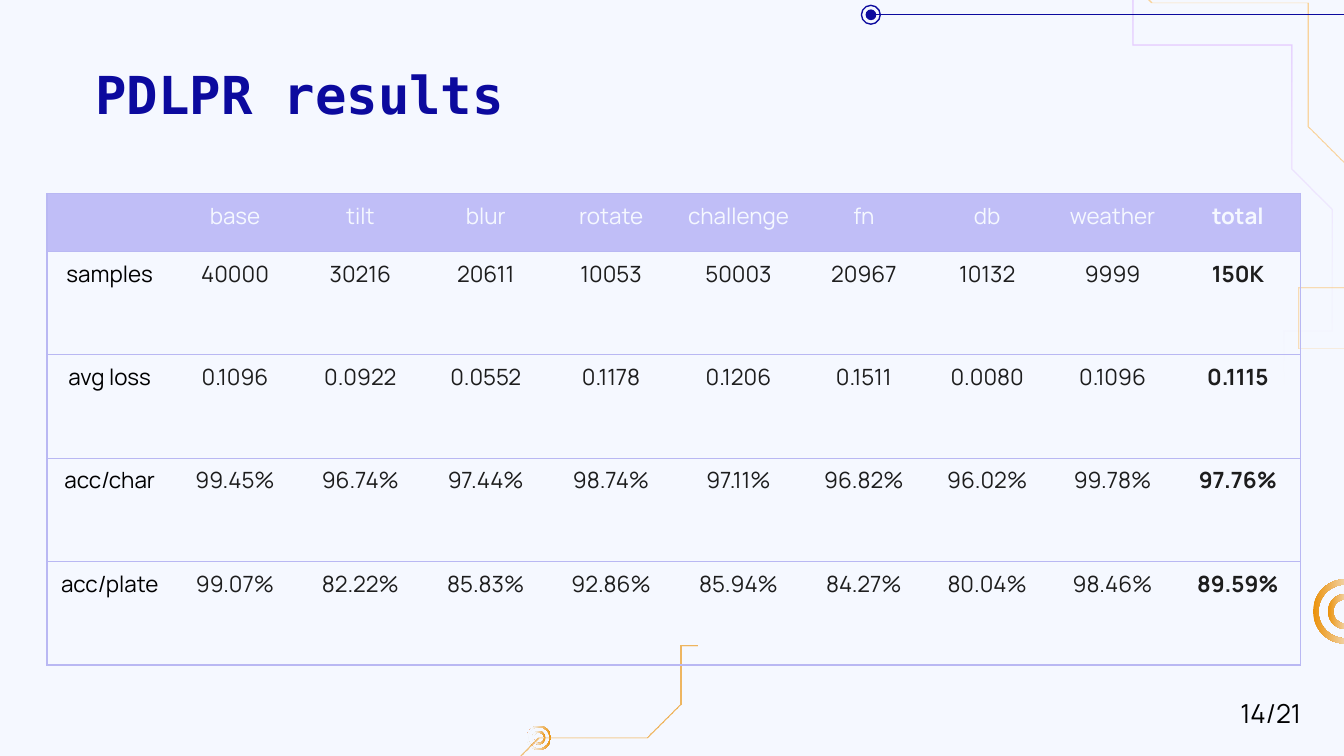
from dataclasses import dataclass
from math import hypot

from pptx import Presentation
from pptx.dml.color import RGBColor
from pptx.enum.shapes import MSO_CONNECTOR as Connector, MSO_SHAPE as Preset
from pptx.enum.text import MSO_ANCHOR as Anchor, MSO_AUTO_SIZE as AutoSize, PP_ALIGN as Align
from pptx.oxml import parse_xml
from pptx.oxml.ns import nsdecls, qn
from pptx.util import Inches, Pt

Point = tuple[float, float]
Stop = tuple[int, str, int]  # position, colour, opacity, in percent


@dataclass(frozen=True)
class Theme:
    paper: str = "F5F8FF"
    navy: str = "0C0A9E"
    amber: str = "EB9109"
    orange: str = "FF9900"
    violet: str = "9900FF"
    header: str = "C0BEF7"
    grid: str = "B9B8F3"
    ink: str = "1D1D1D"
    black: str = "000000"
    title_font: str = "DejaVu Sans Mono"
    body_font: str = "Manrope"
    title_size: int = 28
    table_size: int = 12
    number_size: int = 14
    hairline: float = 0.75


@dataclass(frozen=True)
class Trace:
    points: list[Point]
    stops: list[Stop]
    angle: int


@dataclass(frozen=True)
class Ring:
    center: Point
    radius: float
    band: float
    angle: int


THEME = Theme()
WIDTH = 10
HEIGHT = WIDTH * 9 / 16
TRACE_WIDTH = 0.01

TRACES = [
    Trace([(8.43, 0), (8.43, 0.34), (9.61, 0.34), (9.61, 1.26), (9.91, 1.56),
           (9.91, 2.46), (9.55, 2.46), (9.55, 2.9), (9.91, 2.9)],
          [(0, THEME.violet, 20), (60, THEME.violet, 5), (100, "FFFFFF", 0)], 90),
    Trace([(8.55, 0), (8.57, 0.02), (9.73, 0.02), (9.73, 0.94), (10.03, 1.24),
           (10.03, 2.14), (9.66, 2.14), (9.66, 2.59), (10.03, 2.59)],
          [(0, THEME.orange, 40), (100, THEME.orange, 28)], 90),
    Trace([(3.88, 5.62), (4.01, 5.49), (4.81, 5.49), (5.06, 5.24), (5.06, 4.81), (5.19, 4.81)],
          [(0, THEME.amber, 55), (100, THEME.amber, 65)], 0),
]
RINGS = [
    Ring((10.01, 4.55), 0.24, 0.04, 0),
    Ring((10.01, 4.55), 0.13, 0.04, 0),
    Ring((4.01, 5.49), 0.09, 0.01, 180),
    Ring((4.01, 5.49), 0.05, 0.01, 180),
]

TABLE_WIDTH = 9.33
COLUMN_SHARES = [0.93] * 5 + [0.96, 0.9] + [0.93] * 3
ROWS = [0.43] + [0.77] * 4
RESULTS = [
    ["", "base", "tilt", "blur", "rotate", "challenge", "fn", "db", "weather", "total"],
    ["samples", "40000", "30216", "20611", "10053", "50003", "20967", "10132", "9999", "150K"],
    ["avg loss", "0.1096", "0.0922", "0.0552", "0.1178", "0.1206", "0.1511", "0.0080", "0.1096", "0.1115"],
    ["acc/char", "99.45%", "96.74%", "97.44%", "98.74%", "97.11%", "96.82%", "96.02%", "99.78%", "97.76%"],
    ["acc/plate", "99.07%", "82.22%", "85.83%", "92.86%", "85.94%", "84.27%", "80.04%", "98.46%", "89.59%"],
]


def color(value: str) -> RGBColor:
    return RGBColor.from_string(value)


def format_text(paragraph, font: str, size: float, ink: str, bold: bool = False) -> None:
    for span in paragraph.runs:
        span.font.name, span.font.size, span.font.bold = font, Pt(size), bold
        span.font.color.rgb = color(ink)


def fill_gradient(shape, stops: list[Stop], angle: int) -> None:
    marks = "".join(
        f'<a:gs pos="{place * 1000}"><a:srgbClr val="{tint}">'
        f'<a:alpha val="{opacity * 1000}"/></a:srgbClr></a:gs>'
        for place, tint, opacity in stops)
    shape.shadow.inherit = False
    shape.line.fill.background()
    shape.fill.solid()
    properties = shape._element.spPr
    properties.replace(properties.find(qn("a:solidFill")), parse_xml(
        f'<a:gradFill {nsdecls("a")} rotWithShape="1"><a:gsLst>{marks}</a:gsLst>'
        f'<a:lin ang="{angle * 60000}" scaled="0"/></a:gradFill>'))


def ribbon_side(points: list[Point], offset: float) -> list[Point]:
    """Shift a polyline sideways, with mitred corners, and return it in EMU."""
    normals = []
    for (x1, y1), (x2, y2) in zip(points, points[1:]):
        length = hypot(x2 - x1, y2 - y1)
        normals.append(((y1 - y2) / length, (x2 - x1) / length))
    side = []
    for (x, y), (ax, ay), (bx, by) in zip(points, normals[:1] + normals, normals + normals[-1:]):
        scale = offset / (1 + ax * bx + ay * by)
        side.append((Inches(x + (ax + bx) * scale), Inches(y + (ay + by) * scale)))
    return side


def draw_trace(page, trace: Trace) -> None:
    left = ribbon_side(trace.points, TRACE_WIDTH / 2)
    right = ribbon_side(trace.points, -TRACE_WIDTH / 2)
    outline = left + right[::-1]
    builder = page.shapes.build_freeform(*outline[0])
    builder.add_line_segments(outline[1:], close=True)
    fill_gradient(builder.convert_to_shape(), trace.stops, trace.angle)


def add_circle(page, preset, center: Point, radius: float):
    x, y = center
    shape = page.shapes.add_shape(preset, Inches(x - radius), Inches(y - radius),
                                  Inches(2 * radius), Inches(2 * radius))
    shape.shadow.inherit = False
    return shape


def draw_ring(page, ring: Ring) -> None:
    shape = add_circle(page, Preset.DONUT, ring.center, ring.radius)
    shape.adjustments[0] = ring.band / (2 * ring.radius)
    fill_gradient(shape, [(0, THEME.amber, 100), (78, THEME.paper, 100), (100, THEME.paper, 100)],
                  ring.angle)


def draw_top_rule(page) -> None:
    x, y = center = (6.48, 0.11)
    circle = add_circle(page, Preset.OVAL, center, 0.07)
    circle.fill.background()
    rule = page.shapes.add_connector(Connector.STRAIGHT, Inches(x + 0.04), Inches(y),
                                     Inches(WIDTH), Inches(y))
    rule._element.spPr.append(parse_xml(f'<a:effectLst {nsdecls("a")}/>'))
    for item in (circle, rule):
        item.line.color.rgb = color(THEME.navy)
        item.line.width = Pt(THEME.hairline)
    dot = add_circle(page, Preset.OVAL, center, 0.04)
    dot.fill.solid()
    dot.fill.fore_color.rgb = color(THEME.navy)
    dot.line.fill.background()


def set_borders(cell, visible: str) -> None:
    properties = cell._tc.get_or_add_tcPr()
    for index, side in enumerate("LRTB"):
        paint = (f'<a:solidFill><a:srgbClr val="{THEME.grid}"/></a:solidFill>'
                 if side in visible else "<a:noFill/>")
        properties.insert(index, parse_xml(
            f'<a:ln{side} {nsdecls("a")} w="{Pt(THEME.hairline)}">{paint}</a:ln{side}>'))


def draw_table(page) -> None:
    table = page.shapes.add_table(len(ROWS), len(COLUMN_SHARES), Inches(0.35), Inches(1.44),
                                  Inches(TABLE_WIDTH), Inches(sum(ROWS))).table
    table.first_row = table.horz_banding = False
    for column, share in zip(table.columns, COLUMN_SHARES):
        column.width = Inches(TABLE_WIDTH * share / sum(COLUMN_SHARES))
    last = len(COLUMN_SHARES) - 1
    for i, (row, height) in enumerate(zip(table.rows, ROWS)):
        row.height = Inches(height)
        for j, cell in enumerate(row.cells):
            cell.margin_left = cell.margin_right = cell.margin_top = cell.margin_bottom = Inches(0.05)
            if i == 0:
                cell.fill.solid()
                cell.fill.fore_color.rgb = color(THEME.header)
            else:
                cell.fill.background()
            set_borders(cell, "TB" + ("L" if j == 0 else "") + ("R" if j == last else ""))
            ink = THEME.paper if i == 0 else THEME.black if j == 0 else THEME.ink
            paragraph = cell.text_frame.paragraphs[0]
            paragraph.text = RESULTS[i][j]
            paragraph.alignment = Align.CENTER
            format_text(paragraph, THEME.body_font, THEME.table_size, ink, j == last)


def main() -> None:
    deck = Presentation()
    deck.slide_width, deck.slide_height = Inches(WIDTH), Inches(HEIGHT)
    page = deck.slides.add_slide(deck.slide_layouts[5])
    page.background.fill.solid()
    page.background.fill.fore_color.rgb = color(THEME.paper)
    # Circuit decoration
    for ring in RINGS:
        draw_ring(page, ring)
    for trace in TRACES:
        draw_trace(page, trace)
    draw_top_rule(page)
    # Title
    title = page.shapes.title
    title.left, title.top, title.width, title.height = map(Inches, (0.61, 0.36, 8.43, 0.63))
    frame = title.text_frame
    frame.text = "PDLPR results"
    frame.auto_size, frame.vertical_anchor = AutoSize.NONE, Anchor.TOP
    frame.margin_left = frame.margin_right = frame.margin_top = frame.margin_bottom = Inches(0.1)
    frame.paragraphs[0].alignment = Align.LEFT
    format_text(frame.paragraphs[0], THEME.title_font, THEME.title_size, THEME.navy, True)
    # Results and page number
    draw_table(page)
    box = page.shapes.add_textbox(*map(Inches, (9.13, 5.14, 0.75, 0.34)))
    box.text_frame.word_wrap = True
    box.text_frame.text = "14/21"
    format_text(box.text_frame.paragraphs[0], THEME.body_font, THEME.number_size, THEME.black)
    deck.save("out.pptx")


if __name__ == "__main__":
    main()
